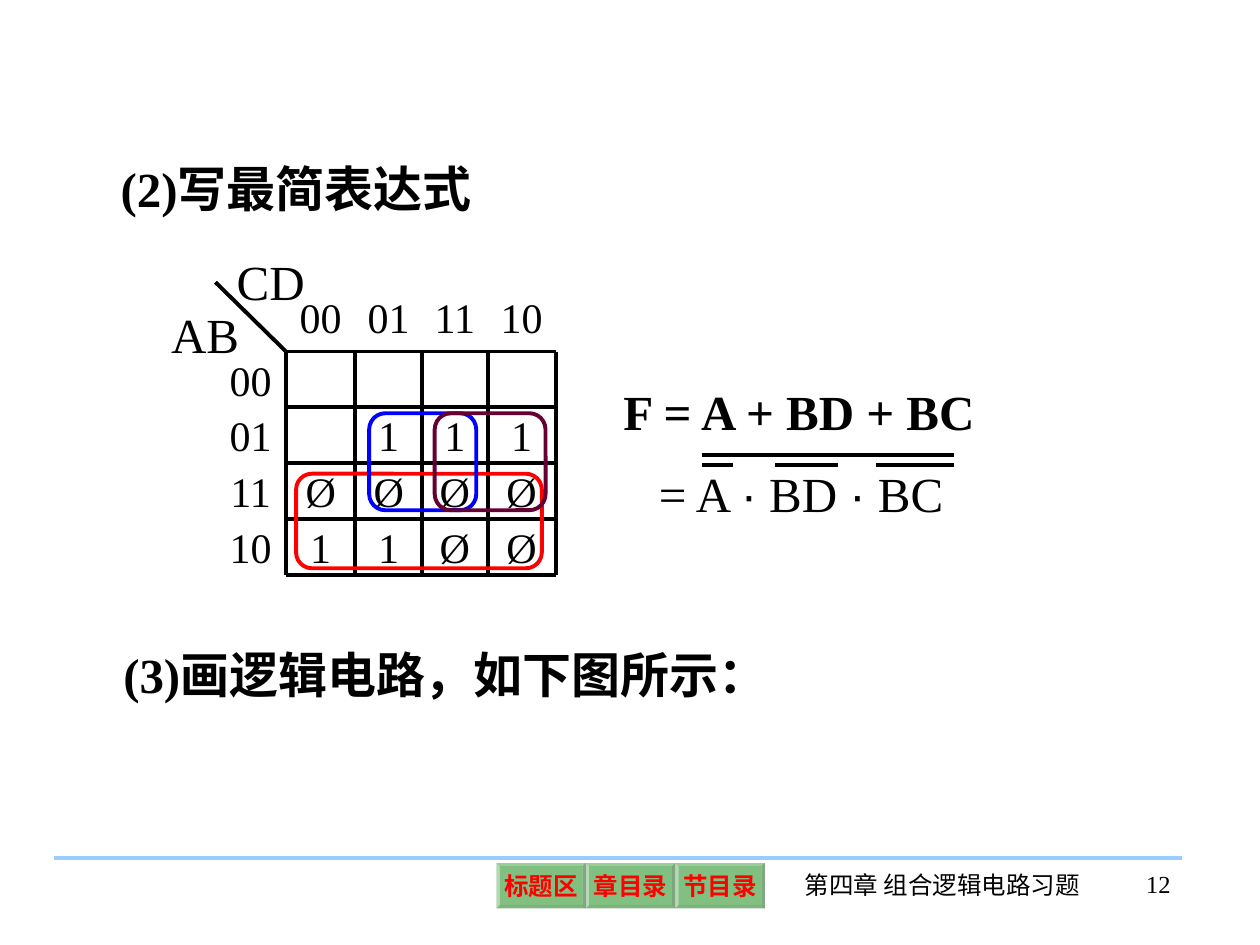
from dataclasses import dataclass
from pptx import Presentation
from pptx.dml.color import RGBColor
from pptx.enum.shapes import MSO_CONNECTOR as Connector, MSO_SHAPE as Shape
from pptx.enum.text import MSO_ANCHOR as Anchor, PP_ALIGN as Align
from pptx.oxml.ns import qn
from pptx.oxml.xmlchemy import OxmlElement
from pptx.util import Inches, Pt


@dataclass(frozen=True)
class Theme:
    font: str = "Times New Roman"
    symbol_font: str = "Arial"
    heading: int = 28
    cell: int = 24
    footer: int = 14
    stroke: float = 2.25
    ink: str = "000000"
    rule: str = "99CCFF"
    button: str = "008000"
    button_text: str = "FF0000"
    button_alpha: str = "49000"


THEME = Theme()
HEADINGS = [
    ("(2)写最简表达式", 0.86, 1.21, 3.6),
    ("(3)画逻辑电路，如下图所示：", 0.88, 5.07, 5.49),
    ("F = A + BD + BC", 4.85, 2.98, 3.3),
]
AXES = [("AB", 1.26, 2.37), ("CD", 1.78, 1.95)]
CODES = ["00", "01", "11", "10"]
CELLS = [
    ["", "", "", ""],
    ["", "1", "1", "1"],
    ["Ø", "Ø", "Ø", "Ø"],
    ["1", "1", "Ø", "Ø"],
]
LOOPS = [
    (2.35, 3.76, 1.95, 0.75, "FF0000"),
    (2.93, 3.28, 0.85, 0.77, "0000FF"),
    (3.45, 3.28, 0.88, 0.77, "660033"),
]
PRODUCT = ["= A ", "·", " BD ", "·", " BC"]
OVERBARS = [(5.57, 5.82, 3.69), (6.15, 6.65, 3.69), (6.95, 7.57, 3.69), (5.57, 7.57, 3.61)]
BUTTONS = ["标题区", "章目录", "节目录"]
FOOTERS = [
    ("第四章 组合逻辑电路习题", 6.15, 6.86, 2.66, Align.CENTER),
    ("12", 8.53, 6.85, 0.86, Align.RIGHT),
]

CORNER_X, CORNER_Y = 1.71, 2.24
COLUMN_EDGES = [2.27, 2.82, 3.35, 3.87, 4.41]
GRID_TOP, GRID_BOTTOM = 2.79, 4.56
ROW_HEIGHT = (GRID_BOTTOM - GRID_TOP) / len(CODES)
ROW_EDGES = [GRID_TOP + ROW_HEIGHT * i for i in range(len(CODES) + 1)]
BUTTON_LEFT, BUTTON_TOP, BUTTON_WIDTH, BUTTON_HEIGHT = 3.94, 6.85, 0.71, 0.36


def rgb(color):
    return RGBColor.from_string(color)


def style(font, size, color=THEME.ink, bold=False, name=THEME.font):
    font.name, font.size, font.bold = name, Pt(size), bold
    font.color.rgb = rgb(color)


def set_margins(frame, x, y):
    frame.margin_left = frame.margin_right = Inches(x)
    frame.margin_top = frame.margin_bottom = Inches(y)


def add_text(page, text, left, top, width, height, size, bold=False, align=Align.LEFT):
    box = page.shapes.add_textbox(*map(Inches, (left, top, width, height)))
    frame = box.text_frame
    frame.word_wrap = True
    frame.text = text
    para = frame.paragraphs[0]
    para.alignment = align
    for span in para.runs:
        style(span.font, size, bold=bold)
    return box


def add_cell(page, text, left, top, width, height):
    box = add_text(page, text, left, top, width, height, THEME.cell, align=Align.CENTER)
    set_margins(box.text_frame, 0.02, 0.02)
    box.text_frame.vertical_anchor = Anchor.MIDDLE


def add_line(page, x1, y1, x2, y2, color=THEME.ink):
    line = page.shapes.add_connector(Connector.STRAIGHT, *map(Inches, (x1, y1, x2, y2)))
    line.line.color.rgb = rgb(color)
    line.line.width = Pt(THEME.stroke)
    line.element.spPr.append(OxmlElement("a:effectLst"))


def add_map(page):
    for text, left, top in AXES:
        add_text(page, text, left, top, 0.91, 0.57, THEME.heading)
    columns = list(zip(COLUMN_EDGES, COLUMN_EDGES[1:]))
    for code, (left, right) in zip(CODES, columns):
        add_cell(page, code, left, CORNER_Y, right - left, GRID_TOP - CORNER_Y)
    for code, values, top in zip(CODES, CELLS, ROW_EDGES):
        add_cell(page, code, CORNER_X, top, COLUMN_EDGES[0] - CORNER_X, ROW_HEIGHT)
        for value, (left, right) in zip(values, columns):
            if value:
                add_cell(page, value, left, top, right - left, ROW_HEIGHT)
    add_line(page, CORNER_X, CORNER_Y, COLUMN_EDGES[0], GRID_TOP)
    for x in COLUMN_EDGES:
        add_line(page, x, GRID_TOP, x, GRID_BOTTOM)
    for y in ROW_EDGES:
        add_line(page, COLUMN_EDGES[0], y, COLUMN_EDGES[-1], y)
    for left, top, width, height, color in LOOPS:
        loop = page.shapes.add_shape(
            Shape.ROUNDED_RECTANGLE, *map(Inches, (left, top, width, height)))
        loop.shadow.inherit = False
        loop.fill.background()
        loop.line.color.rgb = rgb(color)
        loop.line.width = Pt(THEME.stroke)


def add_product(page):
    box = add_text(page, "", 5.13, 3.63, 3.01, 0.57, THEME.heading)
    para = box.text_frame.paragraphs[0]
    for text in PRODUCT:
        span = para.add_run()
        span.text = text
        name = THEME.symbol_font if text == "·" else THEME.font
        style(span.font, THEME.heading, name=name)
    for start, end, y in OVERBARS:
        add_line(page, start, y, end, y)


def add_button(page, text, left):
    button = page.shapes.add_shape(
        Shape.BEVEL, *map(Inches, (left, BUTTON_TOP, BUTTON_WIDTH, BUTTON_HEIGHT)))
    button.adjustments[0] = 0.07
    button.shadow.inherit = False
    button.fill.solid()
    button.fill.fore_color.rgb = rgb(THEME.button)
    alpha = OxmlElement("a:alpha")
    alpha.set("val", THEME.button_alpha)
    button.element.spPr.find(".//" + qn("a:srgbClr")).append(alpha)
    button.line.fill.background()
    frame = button.text_frame
    frame.word_wrap = False
    set_margins(frame, 0.04, 0.04)
    frame.vertical_anchor = Anchor.MIDDLE
    frame.text = text
    para = frame.paragraphs[0]
    para.alignment = Align.CENTER
    style(para.runs[0].font, THEME.footer, THEME.button_text, bold=True)


def main():
    deck = Presentation()
    deck.slide_width, deck.slide_height = Inches(10), Inches(7.5)
    page = deck.slides.add_slide(deck.slide_layouts[6])
    add_line(page, 0.43, 6.81, 9.38, 6.81, THEME.rule)
    for text, left, top, width, align in FOOTERS:
        add_text(page, text, left, top, width, 0.5, THEME.footer, align=align)
    for text, left, top, width in HEADINGS:
        add_text(page, text, left, top, width, 0.57, THEME.heading, bold=True)
    add_map(page)
    add_product(page)
    for i, text in enumerate(BUTTONS):
        add_button(page, text, BUTTON_LEFT + BUTTON_WIDTH * i)
    deck.save("out.pptx")


if __name__ == "__main__":
    main()
